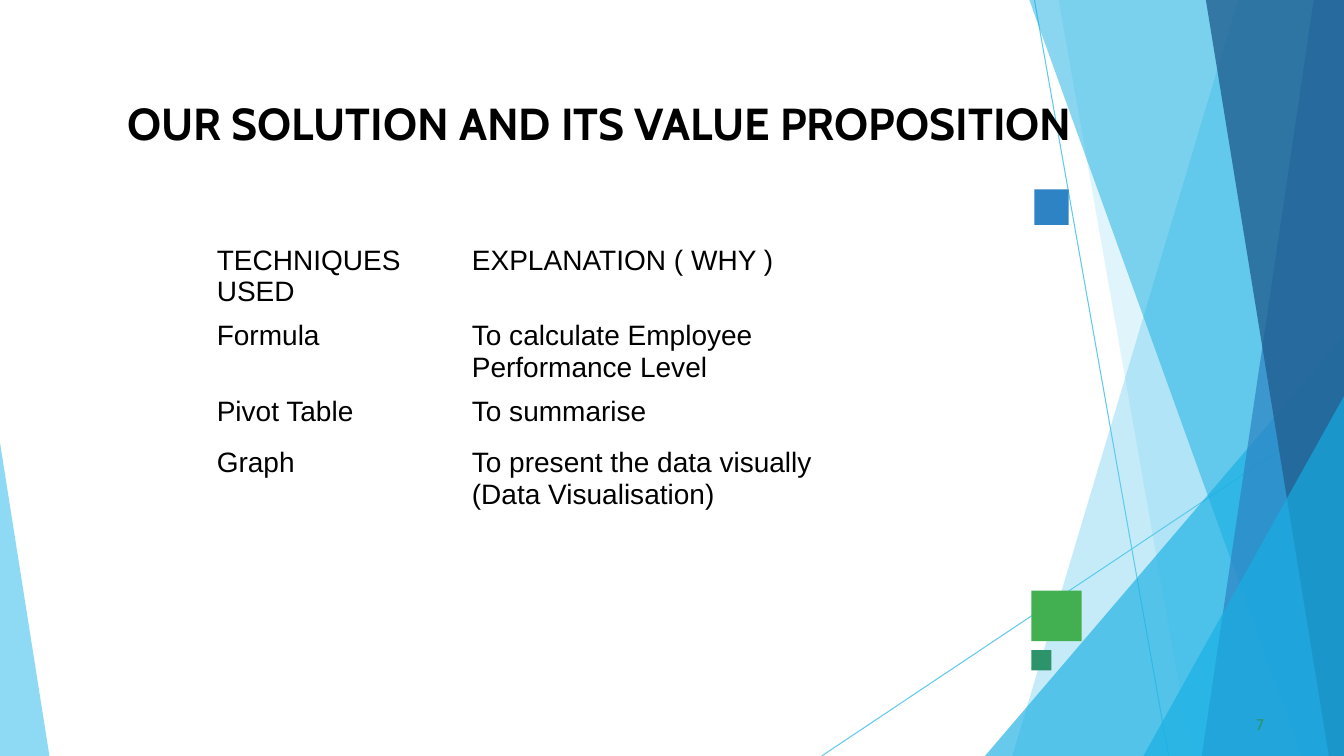
from lxml import etree
from pptx import Presentation
from pptx.dml.color import RGBColor
from pptx.enum.shapes import MSO_CONNECTOR, MSO_SHAPE
from pptx.enum.text import MSO_ANCHOR, MSO_AUTO_SIZE, PP_ALIGN
from pptx.oxml.ns import qn
from pptx.util import Inches, Pt

STRAIGHT = MSO_CONNECTOR.STRAIGHT
RECTANGLE = MSO_SHAPE.RECTANGLE
TOP = MSO_ANCHOR.TOP
NO_FIT = MSO_AUTO_SIZE.NONE
LEFT, CENTER = PP_ALIGN.LEFT, PP_ALIGN.CENTER

BLACK = RGBColor(0x00, 0x00, 0x00)
SKY = RGBColor(0x5F, 0xCA, 0xEE)
CYAN = RGBColor(0x17, 0xAF, 0xE3)
BLUE = RGBColor(0x2D, 0x83, 0xC3)
NAVY = RGBColor(0x22, 0x61, 0x92)
GREEN = RGBColor(0x42, 0xAF, 0x51)
TEAL = RGBColor(0x2D, 0x93, 0x6B)

RAYS = [((76.97, 0), (86.95, 100)), ((100, 53.87), (61.14, 100))]
RIGHT_FACETS = [
    (92.12, 0, 75.32, SKY, 36),
    (78.77, 0, 88.67, SKY, 20),
    (100, 44.4, 73.29, CYAN, 65),
    (76.59, 0, 96.85, CYAN, 50),
    (97.75, 0, 89.42, BLUE, 70),
    (89.72, 0, 98.87, NAVY, 80),
    (100, 52.4, 85.07, CYAN, 65),
]
SQUARES = [
    (76.74, 78.13, 3.75, 6.67, GREEN),
    (76.97, 25.07, 2.55, 4.67, BLUE),
    (76.74, 86, 1.5, 2.67, TEAL),
]
TECHNIQUES = [
    ("TECHNIQUES USED", "EXPLANATION ( WHY )"),
    ("Formula", "To calculate Employee Performance Level"),
    ("Pivot Table", "To summarise"),
    ("Graph", "To present the data visually (Data Visualisation)"),
]


class Deck:
    """Draws styled elements on one slide, with lengths in percent of its size."""

    heading_font = "Cabin"
    table_font = "Arial"

    def __init__(self):
        self.prs = Presentation()
        self.prs.slide_width = Inches(13.33)
        self.prs.slide_height = Inches(7.5)
        self.slide = self.prs.slides.add_slide(self.prs.slide_layouts[5])
        self.shapes = self.slide.shapes

    def x(self, share):
        return round(self.prs.slide_width * share / 100)

    def y(self, share):
        return round(self.prs.slide_height * share / 100)

    def box(self, left, top, width, height):
        return self.x(left), self.y(top), self.x(width), self.y(height)

    def paint(self, sp, color):
        sp.shadow.inherit = False
        sp.fill.solid()
        sp.fill.fore_color.rgb = color
        sp.line.fill.background()

    def ray(self, start, end):
        line = self.shapes.add_connector(
            STRAIGHT, self.x(start[0]), self.y(start[1]), self.x(end[0]), self.y(end[1]))
        line.line.color.rgb = SKY
        line.line.width = Pt(0.75)
        etree.SubElement(line._element.spPr, qn("a:effectLst"))

    def facet(self, points, color, opacity):
        points = [(self.x(px), self.y(py)) for px, py in points]
        builder = self.shapes.build_freeform(*points[0])
        builder.add_line_segments(points[1:], close=True)
        sp = builder.convert_to_shape()
        self.paint(sp, color)
        clr = sp._element.spPr.find(".//" + qn("a:srgbClr"))
        etree.SubElement(clr, qn("a:alpha"), val=str(opacity * 1000))

    def square(self, left, top, width, height, color):
        self.paint(self.shapes.add_shape(RECTANGLE, *self.box(left, top, width, height)), color)

    def set_text(self, sp, text, size, color, bold=False, align=LEFT, indent=0):
        tf = sp.text_frame
        tf.text = text
        tf.word_wrap = True
        tf.auto_size = NO_FIT
        tf.vertical_anchor = TOP
        tf.margin_left = Inches(indent)
        tf.margin_top = Inches(0.01)
        tf.margin_right = tf.margin_bottom = 0
        p = tf.paragraphs[0]
        p.alignment = align
        p.font.name = self.heading_font
        p.font.size = Pt(size)
        p.font.bold = bold
        p.font.color.rgb = color

    def title(self, text, *box):
        sp = self.shapes.title
        sp.left, sp.top, sp.width, sp.height = self.box(*box)
        self.set_text(sp, text, 32, BLACK, bold=True, align=CENTER)
        self.shapes._spTree.append(sp._element)

    def page_number(self, text, *box):
        sp = self.shapes.add_textbox(*self.box(*box))
        self.set_text(sp, text, 11, TEAL, indent=0.04)

    def table(self, left, top, widths, heights, rows):
        box = self.box(left, top, sum(widths), sum(heights))
        table = self.shapes.add_table(len(rows), len(widths), *box).table
        table.first_row = table.horz_banding = False
        for column, width in zip(table.columns, widths):
            column.width = self.x(width)
        for row, height, texts in zip(table.rows, heights, rows):
            row.height = self.y(height)
            for cell, text in zip(row.cells, texts):
                cell.text = text
                cell.fill.background()
                p = cell.text_frame.paragraphs[0]
                p.font.name = self.table_font
                p.font.size = Pt(20)
                p.font.color.rgb = BLACK


def main():
    deck = Deck()
    for start, end in RAYS:
        deck.ray(start, end)
    for peak, top, foot, color, opacity in RIGHT_FACETS:
        deck.facet([(100, top), (peak, top), (foot, 100), (100, 100)], color, opacity)
    deck.facet([(0, 58.53), (0, 100), (3.68, 100)], SKY, 70)
    for square in SQUARES:
        deck.square(*square)
    deck.title("OUR SOLUTION AND ITS VALUE PROPOSITION", 4.58, 12.53, 80.12, 7.33)
    deck.page_number("7", 93.17, 94.4, 1.28, 2.8)
    deck.table(15.38, 31.73, (18.98, 30.23), (10, 10, 6.8, 10), TECHNIQUES)
    deck.prs.save("out.pptx")


if __name__ == "__main__":
    main()
